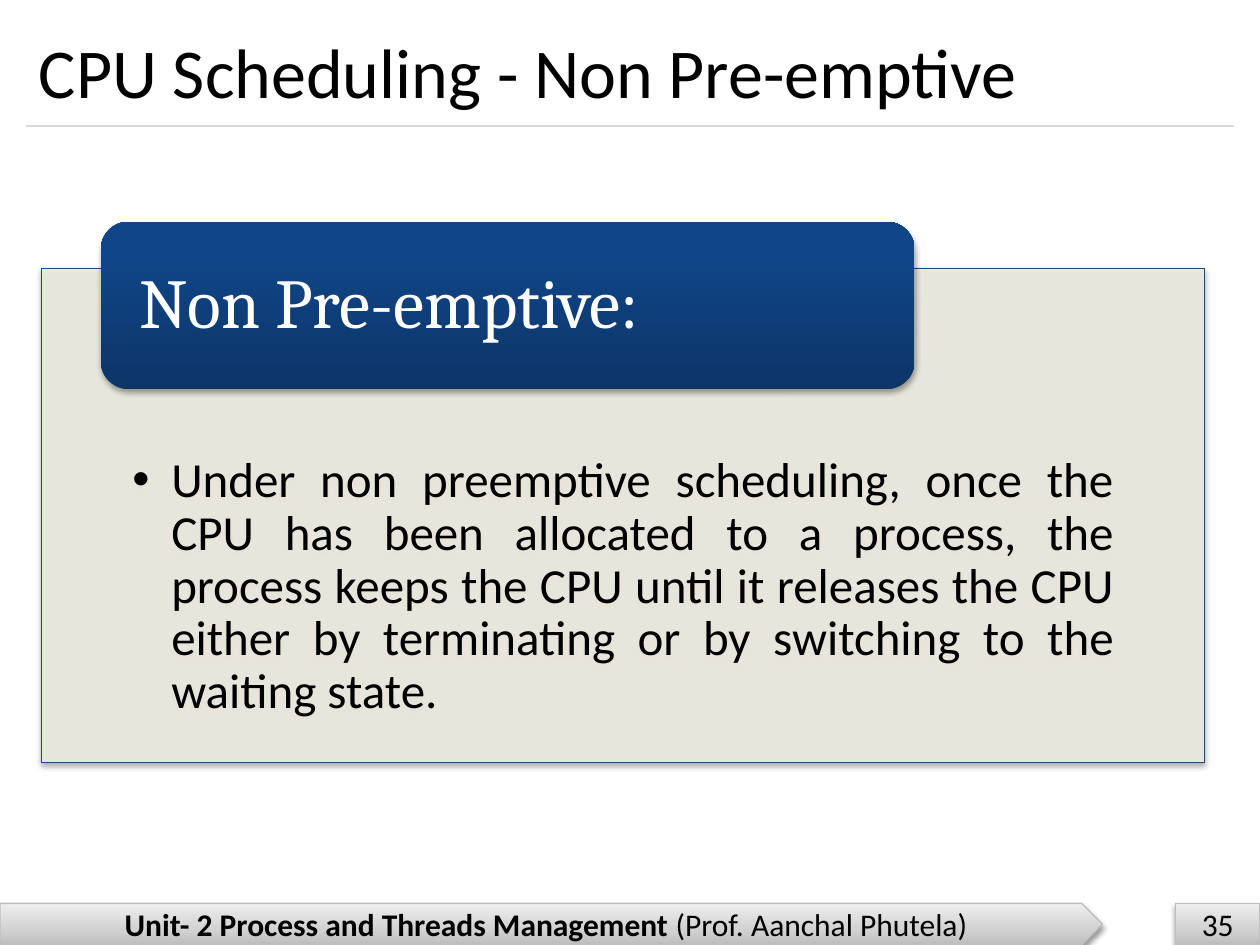
"""Build the slide on non pre-emptive CPU scheduling."""
import pptx
import pptx.dml.color
import pptx.enum.shapes
import pptx.enum.text
import pptx.oxml
import pptx.oxml.ns
import pptx.util
from pptx.util import Inches

SHAPE = pptx.enum.shapes.MSO_SHAPE
ALIGN = pptx.enum.text.PP_ALIGN
ANCHOR = pptx.enum.text.MSO_ANCHOR
NS = pptx.oxml.ns.nsdecls("a")
GREY = [(0, "BDBDBD"), (35, "D1D1D1"), (100, "EEEEEE")]
BLUE = [(0, "0D3568"), (80, "104587"), (100, "0E458A")]


def rgb(value):
    """Turn a hex string into a colour."""
    return pptx.dml.color.RGBColor.from_string(value)


def set_line(line, color, width=0.75):
    """Give a line its colour and width in points."""
    line.color.rgb = rgb(color)
    line.width = pptx.util.Pt(width)


def set_gradient(sp, stops):
    """Fill a shape with a gradient that runs from bottom to top."""
    gs = "".join(f'<a:gs pos="{pos * 1000}"><a:srgbClr val="{color}"/></a:gs>'
                 for pos, color in stops)
    sp.fill.solid()
    solid = sp._element.spPr.find(pptx.oxml.ns.qn("a:solidFill"))
    solid.getparent().replace(solid, pptx.oxml.parse_xml(
        f'<a:gradFill {NS} rotWithShape="1"><a:gsLst>{gs}</a:gsLst>'
        '<a:lin ang="16200000" scaled="0"/></a:gradFill>'))


def set_alpha(sp, percent):
    """Set the opacity of a solid fill."""
    color = sp._element.spPr.find(pptx.oxml.ns.qn("a:solidFill"))[0]
    color.append(pptx.oxml.parse_xml(f'<a:alpha {NS} val="{percent * 1000}"/>'))


def set_shadow(sp, opacity, distance):
    """Drop a soft black shadow straight down."""
    sp.shadow.inherit = False
    effects = sp._element.spPr.find(pptx.oxml.ns.qn("a:effectLst"))
    effects.append(pptx.oxml.parse_xml(
        f'<a:outerShdw {NS} blurRad="{pptx.util.Pt(3.1)}" dist="{pptx.util.Pt(distance)}" '
        'dir="5400000" rotWithShape="0"><a:srgbClr val="000000">'
        f'<a:alpha val="{opacity * 1000}"/></a:srgbClr></a:outerShdw>'))


def add_box(slide, kind, at, opacity=35, distance=1.8):
    """Add a preset shape with a shadow."""
    sp = slide.shapes.add_shape(kind, *map(Inches, at))
    set_shadow(sp, opacity, distance)
    return sp


def write(sp, runs, size, color="000000", font="Calibri", align=ALIGN.LEFT,
          anchor=ANCHOR.MIDDLE, insets=(0.1, 0, 0.1, 0)):
    """Write one paragraph of (text, bold) runs and return it."""
    tf = sp.text_frame
    tf.word_wrap = True
    tf.vertical_anchor = anchor
    tf.margin_left, tf.margin_top, tf.margin_right, tf.margin_bottom = map(Inches, insets)
    p = tf.paragraphs[0]
    p.alignment = align
    for text, bold in runs:
        r = p.add_run()
        r.text = text
        r.font.name = font
        r.font.size = pptx.util.Pt(size)
        r.font.bold = bold
        r.font.color.rgb = rgb(color)
    return p


def add_bullet(p, indent):
    """Give a paragraph a bullet with a hanging indent."""
    pPr = p._p.get_or_add_pPr()
    pPr.set("marL", str(Inches(indent)))
    pPr.set("indent", str(-Inches(indent)))
    pPr.append(pptx.oxml.parse_xml(f'<a:buFont {NS} typeface="Arial"/>'))
    pPr.append(pptx.oxml.parse_xml(f'<a:buChar {NS} char="•"/>'))


def add_title(slide, text):
    """Add the title and the rule below it."""
    s = slide.shapes.add_connector(pptx.enum.shapes.MSO_CONNECTOR.STRAIGHT,
                                   Inches(0.21), Inches(1), Inches(9.79), Inches(1))
    set_line(s.line, "D9D9D9")
    s._element.spPr.append(pptx.oxml.parse_xml(f"<a:effectLst {NS}/>"))
    box = slide.shapes.add_textbox(Inches(0.21), Inches(0.12), Inches(9.58), Inches(0.88))
    write(box, [(text, False)], 40)


def add_footer(slide, kind, left, width, runs):
    """Add one grey footer piece."""
    sp = add_box(slide, kind, (left, 7.17, width, 0.33), 38, 1.6)
    set_gradient(sp, GREY)
    set_line(sp.line, "BFBFBF")
    write(sp, runs, 18, align=ALIGN.CENTER)


def add_panel(slide, text):
    """Add the pale panel with its bulleted text."""
    sp = add_box(slide, SHAPE.RECTANGLE, (0.33, 2.13, 9.23, 3.92))
    sp.fill.solid()
    sp.fill.fore_color.rgb = rgb("EEECE1")
    set_alpha(sp, 90)
    set_line(sp.line, "1F497D")
    p = write(sp, [(text, False)], 28, align=ALIGN.JUSTIFY, anchor=ANCHOR.TOP,
              insets=(0.72, 1.48, 0.72, 0.22))
    p.line_spacing = 0.9
    add_bullet(p, 0.31)


def add_heading(slide, text):
    """Add the blue heading that overlaps the panel."""
    sp = add_box(slide, SHAPE.ROUNDED_RECTANGLE, (0.8, 1.76, 6.46, 1.33))
    set_gradient(sp, BLUE)
    sp.line.fill.background()
    p = write(sp, [(text, False)], 40, "FFFFFF", "Cambria", ALIGN.JUSTIFY,
              insets=(0.24, 0, 0.24, 0))
    p.line_spacing = 0.9


def main():
    """Build and save the slide."""
    prs = pptx.Presentation()
    prs.slide_width, prs.slide_height = Inches(10), Inches(7.5)
    slide = prs.slides.add_slide(prs.slide_layouts[6])
    add_footer(slide, SHAPE.PENTAGON, 0, 8.75,
               [("Unit- 2 Process and Threads Management ", True),
                ("(Prof. Aanchal Phutela)", False)])
    add_footer(slide, SHAPE.RECTANGLE, 9.33, 0.67, [("35", False)])
    add_title(slide, "CPU Scheduling - Non Pre-emptive")
    add_panel(slide, "Under non preemptive scheduling, once the CPU has been allocated "
                     "to a process, the process keeps the CPU until it releases the CPU "
                     "either by terminating or by switching to the waiting state.")
    add_heading(slide, "Non Pre-emptive:")
    prs.save("out.pptx")


if __name__ == "__main__":
    main()
